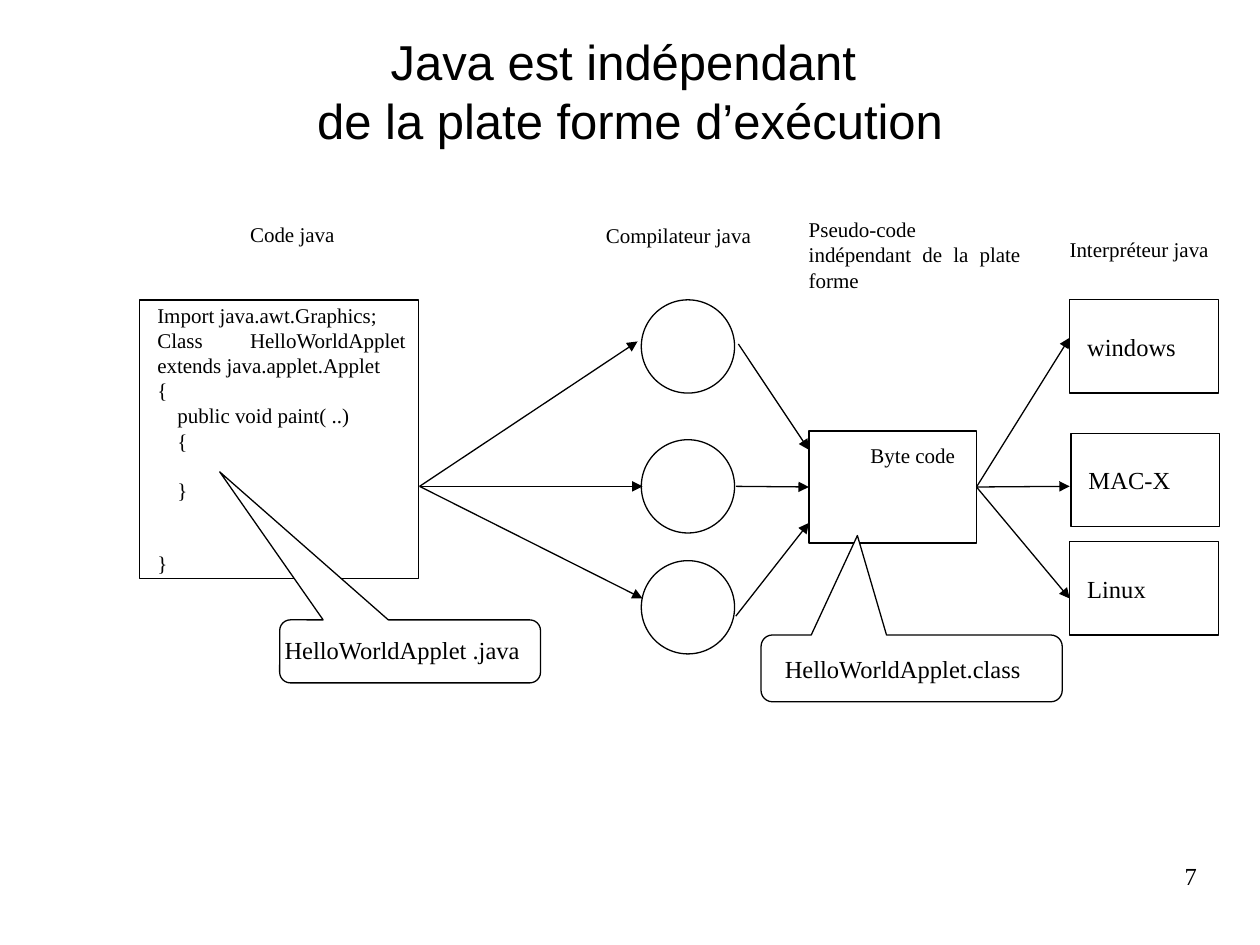
from pptx import Presentation
from pptx.dml.color import RGBColor
from pptx.enum.shapes import MSO_CONNECTOR as Connector, MSO_SHAPE as Shape
from pptx.enum.text import MSO_ANCHOR as Anchor, PP_ALIGN as Align
from pptx.oxml.ns import qn
from pptx.util import Inches, Pt
from lxml.etree import SubElement


def color(value):
    return RGBColor.from_string(value)


class Diagram:
    ink = "000000"
    paper = "FFFFFF"
    body_font = "Times New Roman"
    title_font = "Arial"
    line_width = Pt(0.75)

    def __init__(self, page):
        self.page = page

    def span(self, para, text, size, font=None):
        run = para.add_run()
        run.text = text
        run.font.size = Pt(size)
        run.font.name = font or self.body_font
        run.font.color.rgb = color(self.ink)

    def fill_text(self, box, lines, size=12, align=Align.JUSTIFY, anchor=Anchor.MIDDLE,
                  margins=(0.1, 0.05), left=0.04):
        frame = box.text_frame
        frame.word_wrap = True
        frame.vertical_anchor = anchor
        frame.margin_left = frame.margin_right = Inches(margins[0])
        frame.margin_top = frame.margin_bottom = Inches(margins[1])
        for index, (text, indent, blank_lines) in enumerate(lines):
            para = frame.add_paragraph() if index else frame.paragraphs[0]
            para.alignment = align
            para.space_before = Pt(13.8 * blank_lines)
            properties = para._p.get_or_add_pPr()
            properties.set("marL", str(Inches(left)))
            properties.set("indent", str(Inches(indent)))
            self.span(para, text, size)

    def title(self, place, first, second):
        box = self.page.shapes.title
        box.left, box.top, box.width, box.height = map(Inches, place)
        frame = box.text_frame
        frame.vertical_anchor = Anchor.MIDDLE
        frame.margin_left = frame.margin_right = 0
        frame.margin_top = frame.margin_bottom = 0
        para = frame.paragraphs[0]
        para.alignment = Align.CENTER
        self.span(para, first, 28, self.title_font)
        para.add_line_break()
        self.span(para, second, 28, self.title_font)

    def shape(self, kind, place, outlined=True):
        shape = self.page.shapes.add_shape(kind, *map(Inches, place))
        shape.shadow.inherit = False
        shape.fill.solid()
        shape.fill.fore_color.rgb = color(self.paper)
        if outlined:
            shape.line.color.rgb = color(self.ink)
            shape.line.width = self.line_width
        else:
            shape.line.fill.background()
        return shape

    def box(self, place, text, outlined=True, **style):
        box = self.shape(Shape.RECTANGLE, place, outlined)
        self.fill_text(box, [(text, 0, 0)], **style)
        return box

    def label(self, place, text, **style):
        label = self.page.shapes.add_textbox(*map(Inches, place))
        self.fill_text(label, [(text, 0, 0)], left=0, **style)

    def callout(self, place, tip, text_place, text):
        callout = self.shape(Shape.ROUNDED_RECTANGULAR_CALLOUT, place)
        for index, value in enumerate((*tip, 0.17)):
            callout.adjustments[index] = value
        self.label(text_place, text, size=14)

    def arrow(self, start, end, source=None, target=None):
        arrow = self.page.shapes.add_connector(
            Connector.STRAIGHT, *map(Inches, (*start, *end)))
        arrow.line.color.rgb = color(self.ink)
        arrow.line.width = self.line_width
        outline = arrow.line._get_or_add_ln()
        SubElement(outline, qn("a:tailEnd")).set("type", "triangle")
        SubElement(arrow._element.spPr, qn("a:effectLst"))
        if source is not None:
            arrow.begin_connect(source, 3)
        if target is not None:
            arrow.end_connect(target, 1)


def main():
    deck = Presentation()
    deck.slide_width, deck.slide_height = Inches(10), Inches(7.5)
    diagram = Diagram(deck.slides.add_slide(deck.slide_layouts[5]))

    diagram.title((0.5, 0.28, 9, 0.87), "Java est indépendant ", "de la plate forme d’exécution")

    code = diagram.shape(Shape.RECTANGLE, (1.11, 2.38, 2.21, 2.21))
    diagram.fill_text(code, [
        ("Import java.awt.Graphics;", 0, 0),
        ("Class HelloWorldApplet extends java.applet.Applet", 0, 0),
        ("{", 0, 0),
        ("public void paint( ..)", 0.16, 0),
        ("{", 0.16, 0),
        ("}", 0.16, 1),
        ("}", 0, 2),
    ])

    for place, text, align in (
        ((1.56, 1.65, 1.48, 0.42), "Code java", Align.CENTER),
        ((4.67, 1.65, 1.39, 0.44), "Compilateur java", Align.CENTER),
        ((6.28, 1.65, 1.92, 0.74), "Pseudo-code indépendant de la plate forme", Align.JUSTIFY),
        ((8.35, 1.79, 1.48, 0.38), "Interpréteur java", Align.JUSTIFY),
    ):
        diagram.box(place, text, outlined=False, align=align)

    for top in (2.38, 3.49, 4.45):
        diagram.shape(Shape.OVAL, (5.09, top, 0.74, 0.74))

    byte_code = diagram.box((6.42, 3.42, 1.33, 0.89), "Byte code", align=Align.RIGHT,
                            anchor=Anchor.TOP, margins=(0.17, 0.09), left=0)

    for left, top, system in ((8.49, 2.38, "windows"), (8.5, 3.44, "MAC-X"), (8.49, 4.3, "Linux")):
        diagram.box((left, top, 1.18, 0.74), system, size=14)

    for end in ((5.06, 2.71), (5.1, 3.86), (5.1, 4.75)):
        diagram.arrow((3.33, 3.86), end)
    diagram.arrow((5.86, 2.73), (6.42, 3.57))
    diagram.arrow((5.84, 3.86), (6.42, 3.86), target=byte_code)
    diagram.arrow((5.84, 4.89), (6.42, 4.15))
    for height in (3.86, 2.68, 4.75):
        diagram.arrow((7.75, 3.86), (8.49, height), source=byte_code)

    diagram.callout((2.22, 4.92, 2.07, 0.5), (-0.73, -2.85),
                    (2.16, 4.93, 2.22, 0.46), "HelloWorldApplet .java")
    diagram.callout((6.04, 5.04, 2.39, 0.53), (-0.18, -1.99),
                    (6.13, 5.06, 2.21, 0.49), "HelloWorldApplet.class")

    diagram.label((7.17, 6.83, 2.33, 0.52), "7", size=14, align=Align.RIGHT,
                  anchor=Anchor.TOP, margins=(0, 0))
    deck.save("out.pptx")


if __name__ == "__main__":
    main()
